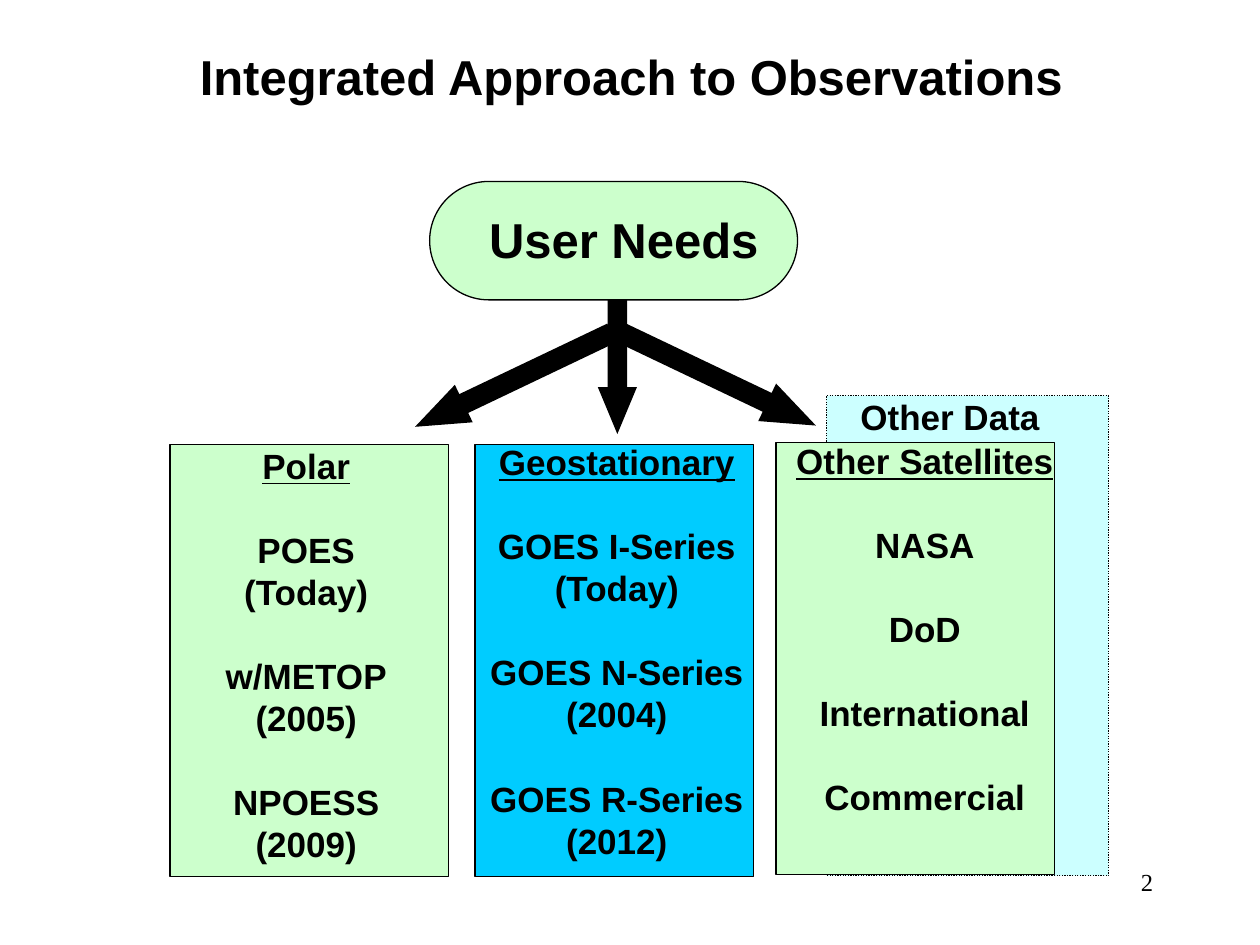
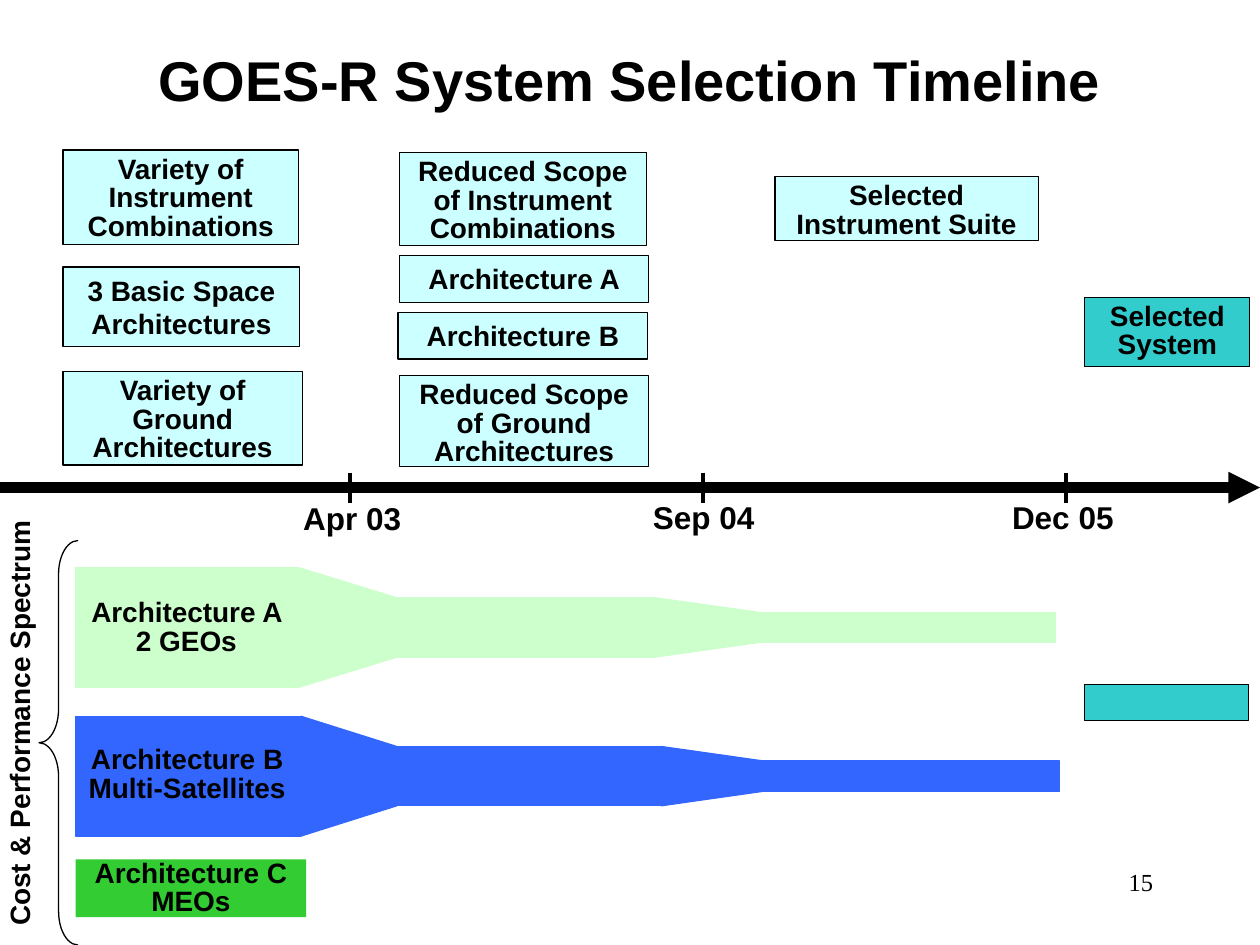
"""Build two slides on satellite observations: user needs and the system selection timeline."""
from pptx import Presentation
from pptx.dml.color import RGBColor
from pptx.enum.dml import MSO_LINE as Dash
from pptx.enum.shapes import MSO_CONNECTOR as Link, MSO_SHAPE as Kind
from pptx.enum.text import MSO_ANCHOR as Anchor, PP_ALIGN as Align
from pptx.oxml.ns import qn
from pptx.util import Inches, Pt
from lxml.etree import SubElement

BLACK = RGBColor(0x00, 0x00, 0x00)
MINT = RGBColor(0xCC, 0xFF, 0xCC)
ICE = RGBColor(0xCC, 0xFF, 0xFF)
SKY = RGBColor(0x00, 0xCC, 0xFF)
BLUE = RGBColor(0x33, 0x66, 0xFF)
GREEN = RGBColor(0x33, 0xCC, 0x33)
TEAL = RGBColor(0x33, 0xCC, 0xCC)

deck = Presentation()
deck.slide_width, deck.slide_height = Inches(10), Inches(7.5)
COL = deck.slide_width // 100
ROW = deck.slide_height // 75


def put(slide, kind, at, fill=None, edge=None):
    """Place a preset shape, or a text box when kind is None, on the grid."""
    x, y, w, h = at
    place = [int(v) for v in (x * COL, y * ROW, w * COL, h * ROW)]
    if kind is None:
        return slide.shapes.add_textbox(*place)
    shape = slide.shapes.add_shape(kind, *place)
    shape.shadow.inherit = False
    for paint, tone in ((shape.fill, fill), (shape.line.fill, edge)):
        if tone is None:
            paint.background()
        else:
            paint.solid()
            paint.fore_color.rgb = tone
    if edge is not None:
        shape.line.width = Pt(0.75)
    return shape


def write(shape, groups, size, lead=1, wrap=True, mid=False, head=False):
    """Write groups of lines, one blank line's height apart."""
    frame = shape.text_frame
    frame.word_wrap = wrap
    frame.vertical_anchor = Anchor.MIDDLE if mid else Anchor.TOP
    pitch = Pt(round(size * 1.2 * lead, 1))
    first = True
    for group in groups:
        for row, line in enumerate(group):
            para = frame.paragraphs[0] if first else frame.add_paragraph()
            para.text = line
            para.alignment = Align.CENTER
            para.line_spacing = pitch
            if row == 0 and not first:
                para.space_before = pitch
            font = para.font
            font.name, font.size, font.bold = "Arial", Pt(size), True
            font.color.rgb = BLACK
            if head and first:
                font.underline = True
            first = False


pages = []
for title, at, size, num in (
    ("Integrated Approach to Observations", (10.1, 2.6, 80, 6.8), 28, "2"),
    ("GOES-R System Selection Timeline", (7.5, 0, 85, 12.5), 32, "15"),
):
    page = deck.slides.add_slide(deck.slide_layouts[6])
    write(put(page, None, at), [[title]], size, mid=True)
    foot = put(page, None, (71.7, 68.3, 20.8, 5))
    foot.text_frame.word_wrap = True
    para = foot.text_frame.paragraphs[0]
    para.text = num
    para.alignment = Align.RIGHT
    para.font.name, para.font.size = "Times New Roman", Pt(14)
    para.font.color.rgb = BLACK
    pages.append(page)
needs, plan = pages

back = put(needs, Kind.RECTANGLE, (65.6, 31.4, 22.4, 38.1), ICE, BLACK)
back.line.dash_style = Dash.ROUND_DOT
write(put(needs, None, (67.3, 30.9, 16.2, 4.4)), [["Other Data"]], 20, wrap=False)

for x, y, tone, at, groups in (
    (13.5, 35.3, MINT, (16.9, 34.8, 14.8, 34.4),
     [["Polar"], ["POES", "(Today)"], ["w/METOP", "(2005)"], ["NPOESS", "(2009)"]]),
    (37.7, 35.3, SKY, (37.9, 34.5, 22.1, 34.4),
     [["Geostationary"], ["GOES I-Series", "(Today)"],
      ["GOES N-Series", "(2004)"], ["GOES R-Series", "(2012)"]]),
    (61.6, 35.1, MINT, (62.2, 34.4, 22.4, 31),
     [["Other Satellites"], ["NASA"], ["DoD"], ["International"], ["Commercial"]]),
):
    put(needs, Kind.RECTANGLE, (x, y, 22.1, 34.3), tone, BLACK)
    write(put(needs, None, at), groups, 20, wrap=False, head=True)

for at, turn, ratio in (
    ((32.1, 28.5, 17.3, 3.3), 334.5, 1.3),
    ((48.3, 28.4, 17.3, 3.3), 205.5, 1.3),
    ((41.5, 25.4, 15, 3.1), 270, 1.2),
):
    arrow = put(needs, Kind.LEFT_ARROW, at, BLACK)
    arrow.rotation = turn
    arrow.adjustments[0], arrow.adjustments[1] = 0.5, ratio

put(needs, Kind.FLOWCHART_TERMINATOR, (34.1, 14.4, 29.2, 9.4), MINT, BLACK)
write(put(needs, None, (36.1, 16.1, 26.8, 7.2)), [["User Needs"]], 28)

for at, tone, lead, words in (
    ((5, 11.9, 18.7, 7.5), ICE, 0.85, "Variety of Instrument Combinations"),
    ((5, 21.2, 18.8, 6.3), ICE, 1, "3 Basic Space Architectures"),
    ((5, 29.5, 19, 7.4), ICE, 0.85, "Variety of Ground Architectures"),
    ((31.7, 12.1, 19.6, 7.4), ICE, 0.85, "Reduced Scope of Instrument Combinations"),
    ((31.7, 20.3, 19.8, 3.7), ICE, 1, "Architecture A"),
    ((31.6, 24.8, 19.8, 3.7), ICE, 1, "Architecture B"),
    ((31.7, 29.8, 19.8, 7.2), ICE, 0.85, "Reduced Scope of Ground Architectures"),
    ((61.5, 14, 20.9, 5.1), ICE, 0.85, "Selected Instrument Suite"),
    ((86.1, 23.6, 13.1, 5.5), TEAL, 0.85, "Selected System"),
):
    write(put(plan, Kind.RECTANGLE, at, tone, BLACK), [[words]], 16, lead)
put(plan, Kind.RECTANGLE, (86.1, 54.3, 13, 2.9), TEAL, BLACK)

ticks = (27.8, 55.8, 84.6)
for x1, y1, x2, y2, width in [(0, 38.7, 100, 38.7, 6)] + [
    (x, 37.5, x, 39.9, 2.25) for x in ticks
]:
    line = plan.shapes.add_connector(
        Link.STRAIGHT, int(x1 * COL), int(y1 * ROW), int(x2 * COL), int(y2 * ROW))
    line.line.color.rgb = BLACK
    line.line.width = Pt(width)
    if width == 6:
        SubElement(line.line._get_or_add_ln(), qn("a:tailEnd"), type="triangle")
    SubElement(line._element.spPr, qn("a:effectLst"))

for x, y, date in zip((21.9, 49.8, 78.3), (40, 39.9, 39.9), ("Apr 03", "Sep 04", "Dec 05")):
    write(put(plan, None, (x, y, 12.1, 4)), [[date]], 18, 0.7)

HIGH = (9.5, 4.7, 2.4)
for tone, mid, edges in (
    (MINT, 49.8, (6, 23.7, 31.5, 52, 60.2, 83.8)),
    (BLUE, 61.6, (6, 23.9, 31.5, 52.5, 60.6, 84.1)),
):
    for step, high in enumerate(HIGH):
        left, right = edges[2 * step:2 * step + 2]
        put(plan, Kind.RECTANGLE, (left, mid - high / 2, right - left, high), tone, tone)
    for step in range(2):
        left, right = edges[2 * step + 1:2 * step + 3]
        tall, low = HIGH[step] / 2, HIGH[step + 1] / 2
        pen = plan.shapes.build_freeform(
            int(left * COL), int((mid - tall) * ROW), scale=1.0)
        pen.add_line_segments([
            (int(x * COL), int(y * ROW))
            for x, y in ((right, mid - low), (right, mid + low), (left, mid + tall))
        ], close=True)
        neck = pen.convert_to_shape()
        neck.shadow.inherit = False
        neck.fill.solid()
        neck.fill.fore_color.rgb = neck.line.color.rgb = tone
        neck.line.width = Pt(0.75)

put(plan, Kind.RECTANGLE, (6, 68.2, 18.3, 4.6), GREEN)
for at, words in (
    ((5.6, 47.1, 18.4, 5.1), "Architecture A 2 GEOs"),
    ((4.4, 58.8, 20.9, 5.1), "Architecture B Multi-Satellites"),
    ((4.7, 67.8, 20.9, 5.1), "Architecture C MEOs"),
):
    write(put(plan, None, at), [[words]], 16, 0.85)

brace = put(plan, Kind.LEFT_BRACE, (3.1, 42.9, 3.1, 32.1), None, BLACK)
brace.adjustments[0] = 0.86
side = put(plan, None, (-15.8, 55.5, 35.3, 3.8))
side.rotation = 270
write(side, [["Cost & Performance Spectrum"]], 16, 0.9)

deck.save("out.pptx")
